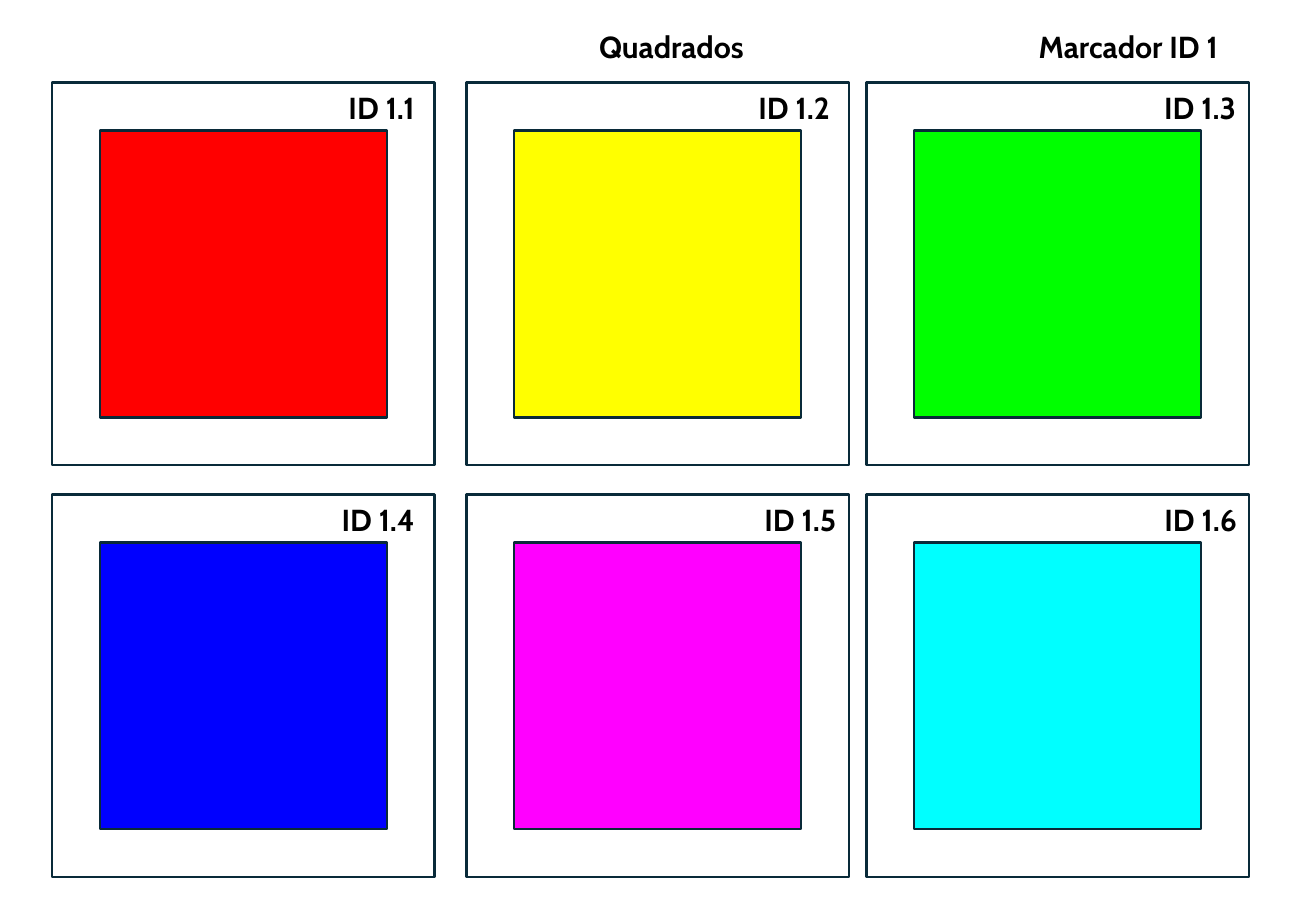
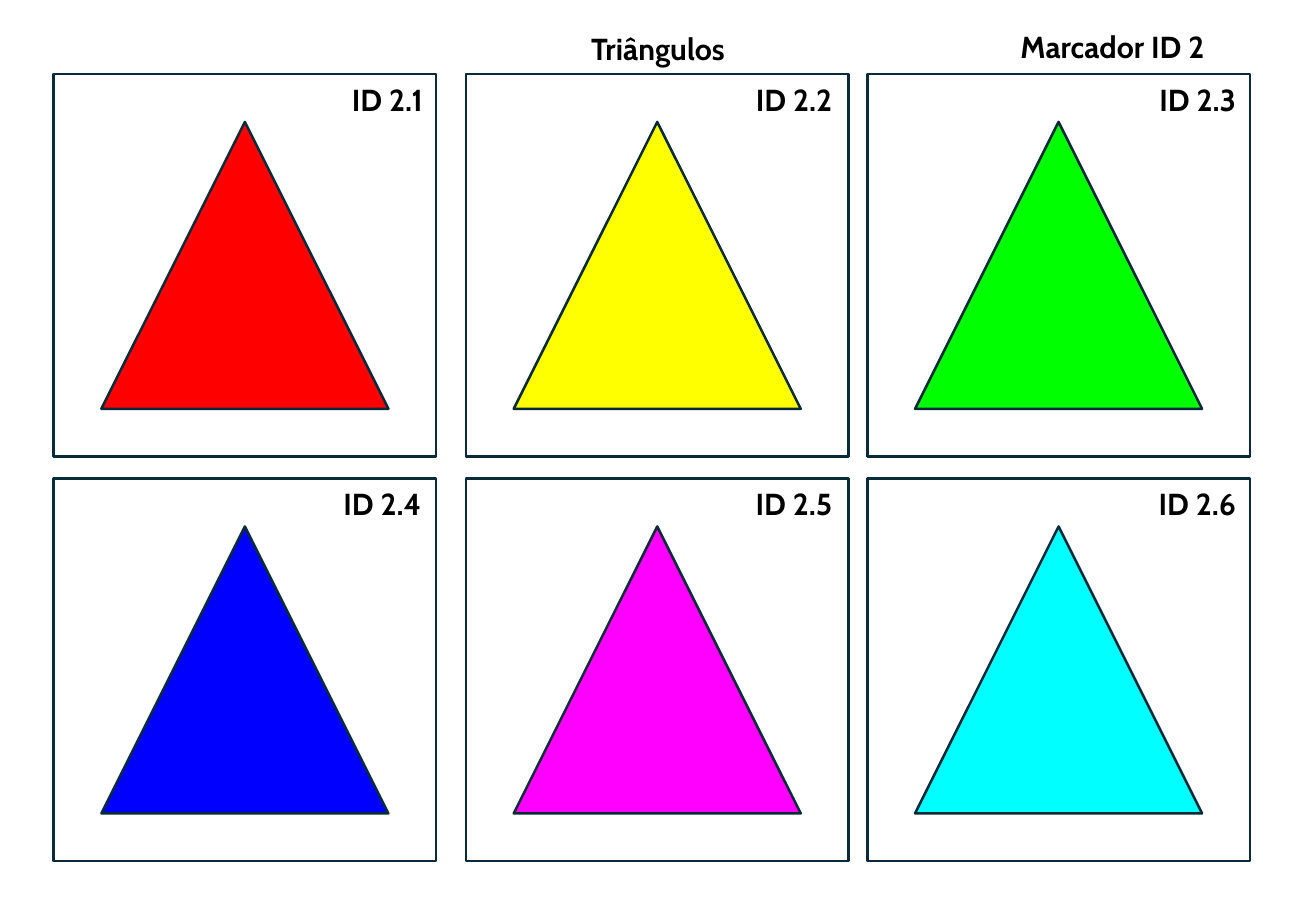
from pptx import Presentation
from pptx.dml.color import RGBColor
from pptx.enum import shapes, text
from pptx.util import Cm, Pt

FILLS = ["FF0000", "FFFF00", "00FF00", "0000FF", "FF00FF", "00FFFF"]
OUTLINE = "092A39"
FRAME, FIGURE = 8, 6
INSET = (FRAME - FIGURE) / 2
LABEL_WIDTH, LINE_HEIGHT = 2.6, 1.03
RIGHT, CENTER = text.PP_ALIGN.RIGHT, text.PP_ALIGN.CENTER

SLIDES = [
    dict(title="Quadrados", title_at=(8.94, 0.46), marker_left=19.13,
         figure=shapes.MSO_SHAPE.RECTANGLE,
         lefts=(1.09, 9.75, 18.11), tops=(1.73, 10.34),
         label_rights=(8.92, 17.6, 26.09, 8.92, 17.73, 26.11)),
    dict(title="Triângulos", title_at=(8.66, 0.51), marker_left=18.85,
         figure=shapes.MSO_SHAPE.ISOSCELES_TRIANGLE,
         lefts=(1.12, 9.74, 18.13), tops=(1.55, 10.01),
         label_rights=(9.09, 17.65, 26.09, 9.06, 17.65, 26.09)),
]


def write(page, words, left, top, width, align=RIGHT, box=None):
    area = Cm(left), Cm(top), Cm(width), Cm(LINE_HEIGHT)
    if box is None:
        box = page.shapes.add_textbox(*area)
    box.left, box.top, box.width, box.height = area
    frame = box.text_frame
    frame.word_wrap = True
    frame.auto_size = text.MSO_AUTO_SIZE.NONE
    frame.vertical_anchor = text.MSO_ANCHOR.TOP
    para = frame.paragraphs[0]
    para.alignment = align
    span = para.add_run()
    span.text = words
    span.font.name = "Cabin"
    span.font.size = Pt(18)
    span.font.bold = True
    span.font.color.rgb = RGBColor.from_string("000000")


def draw(page, kind, left, top, size, fill=None):
    shape = page.shapes.add_shape(kind, Cm(left), Cm(top), Cm(size), Cm(size))
    shape.shadow.inherit = False
    shape.line.color.rgb = RGBColor.from_string(OUTLINE)
    shape.line.width = Pt(1.5)
    if fill:
        shape.fill.solid()
        shape.fill.fore_color.rgb = RGBColor.from_string(fill)
    else:
        shape.fill.background()


deck = Presentation()
deck.slide_width, deck.slide_height = Cm(27.51), Cm(19.05)

for number, sheet in enumerate(SLIDES, 1):
    page = deck.slides.add_slide(deck.slide_layouts.get_by_name("Title Only"))
    write(page, sheet["title"], *sheet["title_at"], 10.19, align=CENTER, box=page.shapes.title)
    write(page, f"Marcador ID {number}", sheet["marker_left"], 0.46, 6.58)
    cells = [(left, top) for top in sheet["tops"] for left in sheet["lefts"]]
    for index, (left, top) in enumerate(cells):
        draw(page, sheet["figure"], left + INSET, top + INSET, FIGURE, FILLS[index])
        draw(page, shapes.MSO_SHAPE.RECTANGLE, left, top, FRAME)
        label_left = sheet["label_rights"][index] - LABEL_WIDTH
        write(page, f"ID {number}.{index + 1}", label_left, top + 0.02, LABEL_WIDTH)

deck.save("out.pptx")
